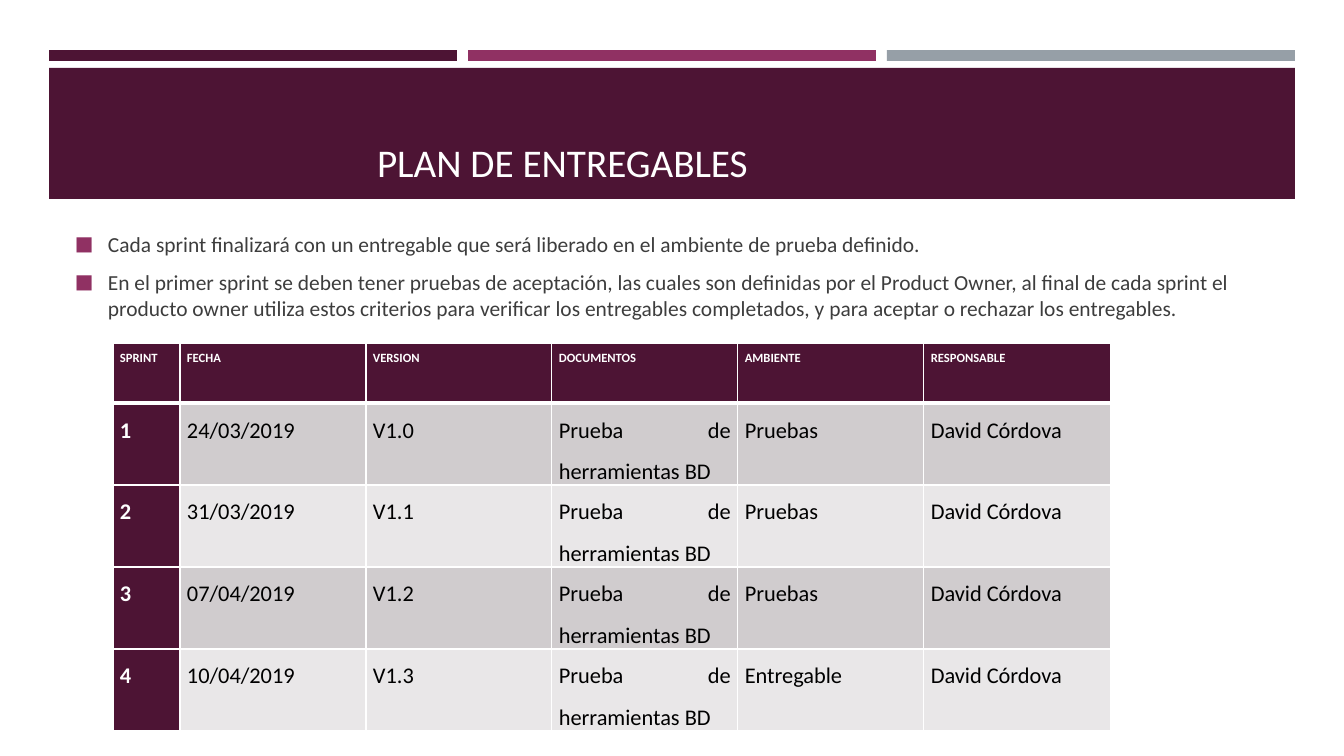
from lxml.etree import SubElement
from pptx import Presentation
from pptx.dml.color import RGBColor
from pptx.enum.shapes import MSO_SHAPE
from pptx.enum.text import MSO_ANCHOR, PP_ALIGN
from pptx.oxml.ns import qn
from pptx.util import Pt

SCALE = 914400 / 100.8
FONT = "Calibri"
COLORS = {
    "plum": "4D1434",
    "magenta": "903163",
    "gray": "969FA7",
    "white": "FFFFFF",
    "body": "3D3D3D",
    "black": "000000",
    "dark_band": "D0CCCE",
    "light_band": "E9E7E8",
}


def px(*lengths):
    return [round(length * SCALE) for length in lengths]


def style(paragraph, size, color, bold=False):
    font = paragraph.font
    font.name = FONT
    font.size = Pt(size)
    font.bold = bold
    font.color.rgb = RGBColor.from_string(COLORS[color])


presentation = Presentation()
presentation.slide_width, presentation.slide_height = px(1344, 756)
slide = presentation.slides.add_slide(presentation.slide_layouts[5])

bands = [(49 + 419 * index, 50, 408, 11, color)
         for index, color in enumerate(["plum", "magenta", "gray"])]
bands.append((49, 68, 1246, 131, "plum"))
for left, top, width, height, color in bands:
    shape = slide.shapes.add_shape(MSO_SHAPE.RECTANGLE, *px(left, top, width, height))
    shape.shadow.inherit = False
    shape.fill.solid()
    shape.fill.fore_color.rgb = RGBColor.from_string(COLORS[color])
    shape.line.fill.background()

title = slide.shapes.title
slide.shapes.element.append(title.element)
title.left, title.top, title.width, title.height = px(65, 78, 1215, 112)
title_frame = title.text_frame
title_frame.text = "PLAN DE ENTREGABLES"
title_frame.vertical_anchor = MSO_ANCHOR.BOTTOM
title_frame.margin_left, = px(312)
title_frame.paragraphs[0].alignment = PP_ALIGN.LEFT
style(title_frame.paragraphs[0], 28, "white")

body_frame = slide.shapes.add_textbox(*px(65, 220, 1215, 112)).text_frame
body_frame.word_wrap = True
body_frame.vertical_anchor = MSO_ANCHOR.MIDDLE
body_frame.text = "\n".join([
    "Cada sprint finalizará con un entregable que será liberado en el ambiente de prueba definido.",
    "En el primer sprint se deben tener pruebas de aceptación, las cuales son definidas por el "
    "Product Owner, al final de cada sprint el producto owner utiliza estos criterios para "
    "verificar los entregables completados, y para aceptar o rechazar los entregables.",
])
indent, = px(33)
for index, paragraph in enumerate(body_frame.paragraphs):
    paragraph.space_before = Pt(3 if index else 0)
    paragraph.space_after = Pt(6)
    properties = paragraph._p.get_or_add_pPr()
    properties.set("marL", str(indent))
    properties.set("indent", str(-indent))
    bullet_color = SubElement(properties, qn("a:buClr"))
    SubElement(bullet_color, qn("a:srgbClr"), val=COLORS["magenta"])
    SubElement(properties, qn("a:buSzPct"), val="92000")
    SubElement(properties, qn("a:buFont"), typeface=FONT)
    SubElement(properties, qn("a:buChar"), char="■")
    style(paragraph, 15.3, "body")

deliverables = [
    ["SPRINT", "FECHA", "VERSION", "DOCUMENTOS", "AMBIENTE", "RESPONSABLE"],
    ["1", "24/03/2019", "V1.0", "Prueba de herramientas BD", "Pruebas", "David Córdova"],
    ["2", "31/03/2019", "V1.1", "Prueba de herramientas BD", "Pruebas", "David Córdova"],
    ["3", "07/04/2019", "V1.2", "Prueba de herramientas BD", "Pruebas", "David Córdova"],
    ["4", "10/04/2019", "V1.3", "Prueba de herramientas BD", "Entregable", "David Córdova"],
]
column_widths = px(67, 186, 186, 186, 186, 187)
row_heights = px(60, 82, 82, 82, 82)
table = slide.shapes.add_table(
    len(row_heights), len(column_widths), *px(113, 343),
    sum(column_widths), sum(row_heights)).table
table.first_col = True
for column, width in zip(table.columns, column_widths):
    column.width = width
for row, height in zip(table.rows, row_heights):
    row.height = height

for row_index, values in enumerate(deliverables):
    for column_index, value in enumerate(values):
        cell = table.cell(row_index, column_index)
        cell.text = value
        cell.margin_left, cell.margin_right = px(7, 7)
        cell.margin_top = cell.margin_bottom = 0

        heading = row_index == 0 or column_index == 0
        paragraph = cell.text_frame.paragraphs[0]
        paragraph.alignment = PP_ALIGN.JUSTIFY
        paragraph.line_spacing = 1.5
        style(paragraph, 16 if row_index else 9, "white" if heading else "black", heading)

        thick_side = {0: "lnB", 1: "lnT"}.get(row_index)
        for side in ["lnL", "lnR", "lnT", "lnB"]:
            border = SubElement(cell._tc.get_or_add_tcPr(), qn("a:" + side),
                                w=str(Pt(3 if side == thick_side else 1)))
            border_fill = SubElement(border, qn("a:solidFill"))
            SubElement(border_fill, qn("a:srgbClr"), val=COLORS["white"])

        band = "dark_band" if row_index % 2 else "light_band"
        cell.fill.solid()
        cell.fill.fore_color.rgb = RGBColor.from_string(COLORS["plum" if heading else band])

presentation.save("out.pptx")
